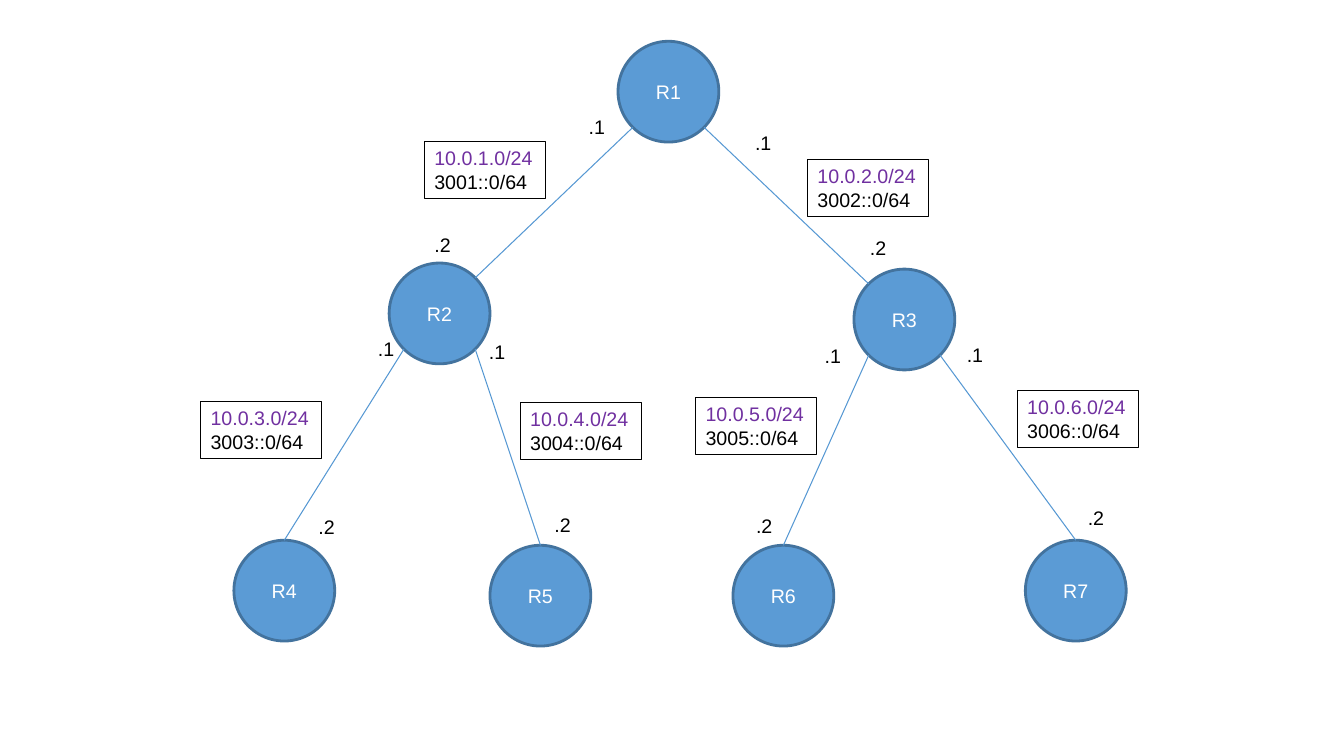
from dataclasses import dataclass
from math import sqrt

from lxml import etree
from pptx import Presentation
from pptx.dml.color import RGBColor
from pptx.enum.shapes import MSO_CONNECTOR, MSO_SHAPE
from pptx.enum.text import MSO_ANCHOR, MSO_AUTO_SIZE, PP_ALIGN
from pptx.oxml.ns import qn
from pptx.util import Inches, Pt

STRAIGHT = MSO_CONNECTOR.STRAIGHT
ELLIPSE, RECTANGLE = MSO_SHAPE.OVAL, MSO_SHAPE.RECTANGLE
MIDDLE, TOP = MSO_ANCHOR.MIDDLE, MSO_ANCHOR.TOP
CENTER, LEFT = PP_ALIGN.CENTER, PP_ALIGN.LEFT
GROW = MSO_AUTO_SIZE.SHAPE_TO_FIT_TEXT

DIAMETER = 1.0
RADIUS = DIAMETER / 2
DIAGONAL = RADIUS / sqrt(2)
HOST_SIZE = (0.4, 0.31)
SUBNET_SIZE = (1.2, 0.57)


@dataclass(frozen=True)
class Theme:
    """Colours, font and sizes of the diagram."""
    router: RGBColor = RGBColor(0x5B, 0x9B, 0xD5)
    router_edge: RGBColor = RGBColor(0x43, 0x73, 0x9E)
    link: RGBColor = RGBColor(0x56, 0x98, 0xD3)
    ipv4: RGBColor = RGBColor(0x70, 0x30, 0xA0)
    black: RGBColor = RGBColor(0, 0, 0)
    white: RGBColor = RGBColor(255, 255, 255)
    font: str = "Arial"
    text_size: Pt = Pt(14)
    thick: Pt = Pt(2)
    thin: Pt = Pt(0.75)


@dataclass(frozen=True)
class Router:
    """A router and the top left corner of its circle."""
    name: str
    left: float
    top: float

    @property
    def center(self) -> tuple[float, float]:
        """Return the centre of the circle."""
        return self.left + RADIUS, self.top + RADIUS


@dataclass(frozen=True)
class Link:
    """A parent and child link with the corners of its three labels."""
    number: int
    parent: Router
    child: Router
    subnet_at: tuple[float, float]
    parent_host_at: tuple[float, float]
    child_host_at: tuple[float, float]


THEME = Theme()
R1 = Router("R1", 6.13, 0.41)
R2 = Router("R2", 3.86, 2.61)
R3 = Router("R3", 8.47, 2.67)
R4 = Router("R4", 2.32, 5.36)
R5 = Router("R5", 4.86, 5.41)
R6 = Router("R6", 7.27, 5.41)
R7 = Router("R7", 10.17, 5.36)
ROUTERS = (R1, R2, R3, R4, R5, R6, R7)
LINKS = (
    Link(1, R1, R2, (4.21, 1.4), (5.72, 1.1), (4.19, 2.27)),
    Link(2, R1, R3, (8.01, 1.58), (7.37, 1.26), (8.51, 2.3)),
    Link(3, R2, R4, (1.99, 3.98), (3.63, 3.3), (3.04, 5.07)),
    Link(4, R2, R5, (5.16, 3.99), (4.73, 3.33), (5.38, 5.05)),
    Link(5, R3, R6, (6.9, 3.94), (8.06, 3.37), (7.38, 5.06)),
    Link(6, R3, R7, (10.09, 3.87), (9.47, 3.36), (10.67, 4.98)),
)


def write_lines(shape, lines, align, anchor) -> None:
    """Fill a shape with one paragraph for each text and colour pair."""
    frame = shape.text_frame
    frame.word_wrap = True
    frame.vertical_anchor = anchor
    frame.text = "\n".join(text for text, _ in lines)
    for para, (_, color) in zip(frame.paragraphs, lines):
        para.alignment = align
        para.font.name = THEME.font
        para.font.size = THEME.text_size
        para.font.color.rgb = color


def add_outlined(page, kind, corner, size, fill, edge, width):
    """Add a filled preset shape with an outline and no shadow."""
    shape = page.shapes.add_shape(kind, *map(Inches, (*corner, *size)))
    shape.shadow.inherit = False
    shape.fill.solid()
    shape.fill.fore_color.rgb = fill
    shape.line.color.rgb = edge
    shape.line.width = width
    return shape


def draw_router(page, router: Router) -> None:
    """Draw a router as a named circle."""
    circle = add_outlined(page, ELLIPSE, (router.left, router.top), (DIAMETER, DIAMETER),
                          THEME.router, THEME.router_edge, THEME.thick)
    write_lines(circle, [(router.name, THEME.white)], CENTER, MIDDLE)


def draw_line(page, link: Link) -> None:
    """Join the lower diagonal of the parent to the upper edge of the child."""
    parent_x, parent_y = link.parent.center
    child_x, child_y = link.child.center
    side = DIAGONAL if child_x > parent_x else -DIAGONAL
    if link.parent is R1:
        end = child_x - side, child_y - DIAGONAL
    else:
        end = child_x, child_y - RADIUS
    start = parent_x + side, parent_y + DIAGONAL
    line = page.shapes.add_connector(STRAIGHT, *map(Inches, (*start, *end)))
    line.line.color.rgb = THEME.link
    line.line.width = THEME.thin
    etree.SubElement(line._element.spPr, qn("a:effectLst"))


def draw_host(page, text: str, corner: tuple[float, float]) -> None:
    """Write the host part of an address beside a link end."""
    box = page.shapes.add_textbox(*map(Inches, (*corner, *HOST_SIZE)))
    write_lines(box, [(text, THEME.black)], CENTER, MIDDLE)


def draw_subnet(page, link: Link) -> None:
    """Draw the box with the IPv4 and IPv6 subnets of a link."""
    box = add_outlined(page, RECTANGLE, link.subnet_at, SUBNET_SIZE,
                       THEME.white, THEME.black, THEME.thin)
    lines = [(f"10.0.{link.number}.0/24", THEME.ipv4),
             (f"300{link.number}::0/64", THEME.black)]
    write_lines(box, lines, LEFT, TOP)
    box.text_frame.auto_size = GROW


def main() -> None:
    """Build the network tree and save the deck."""
    deck = Presentation()
    deck.slide_width, deck.slide_height = Inches(13.33), Inches(7.5)
    page = deck.slides.add_slide(deck.slide_layouts[6])
    for router in ROUTERS:
        draw_router(page, router)
    for link in LINKS:
        draw_line(page, link)
    for link in LINKS:
        draw_host(page, ".1", link.parent_host_at)
        draw_host(page, ".2", link.child_host_at)
    for link in LINKS:
        draw_subnet(page, link)
    deck.save("out.pptx")


main()
